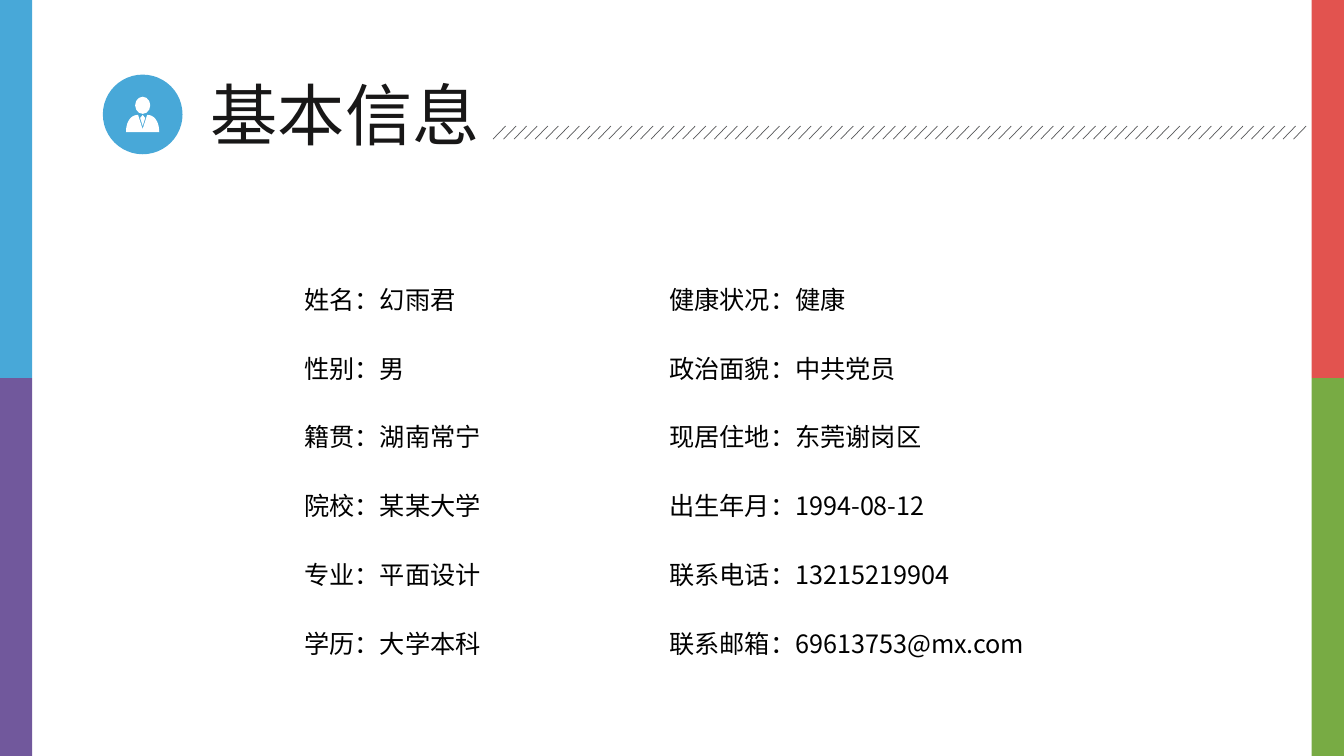
import pptx
import pptx.dml.color
import pptx.enum.shapes
import pptx.enum.text
import pptx.oxml.ns
import pptx.util
from lxml import etree

Inches = pptx.util.Inches
Pt = pptx.util.Pt
MSO_SHAPE = pptx.enum.shapes.MSO_SHAPE
FONT = "Noto Sans CJK SC"
BLUE = "48A8D8"
WHITE = "FFFFFF"


def paint(shape, color):
    """Fill a shape with one flat colour, without outline or shadow."""
    shape.fill.solid()
    shape.fill.fore_color.rgb = pptx.dml.color.RGBColor.from_string(color)
    shape.line.fill.background()
    shape.shadow.inherit = False


def write_line(shape, text, size, color):
    """Put one unwrapped, left-aligned line of text into a shape."""
    frame = shape.text_frame
    frame.text = text
    frame.word_wrap = False
    frame.auto_size = pptx.enum.text.MSO_AUTO_SIZE.SHAPE_TO_FIT_TEXT
    frame.vertical_anchor = pptx.enum.text.MSO_ANCHOR.TOP
    paragraph = frame.paragraphs[0]
    paragraph.alignment = pptx.enum.text.PP_ALIGN.LEFT
    paragraph.font.name = FONT
    paragraph.font.size = Pt(size)
    paragraph.font.color.rgb = pptx.dml.color.RGBColor.from_string(color)
    defaults = paragraph._p.pPr.find(pptx.oxml.ns.qn("a:defRPr"))
    etree.SubElement(defaults, pptx.oxml.ns.qn("a:ea"), typeface=FONT)


presentation = pptx.Presentation()
presentation.slide_width = Inches(13.33)
presentation.slide_height = Inches(7.5)
slide = presentation.slides.add_slide(presentation.slide_layouts[5])
shapes = slide.shapes

# Colour bars along both edges
for left, top, color in [
    (0, 3.75, "71589C"),
    (0, 0, BLUE),
    (13.01, 3.75, "78AB44"),
    (13.01, 0, "E2534F"),
]:
    bar = shapes.add_shape(
        MSO_SHAPE.RECTANGLE, Inches(left), Inches(top), Inches(0.32), Inches(3.75)
    )
    paint(bar, color)

# Title
title = shapes.title
title.left, title.top = Inches(1.99), Inches(0.68)
title.width, title.height = Inches(2.89), Inches(0.91)
write_line(title, "基本信息", 48, "181717")

# Person icon: disc and head, then shoulders and tie
for left, top, width, height, color in [
    (1.02, 0.74, 0.79, 0.79, BLUE),
    (1.34, 0.96, 0.15, 0.17, WHITE),
]:
    oval = shapes.add_shape(
        MSO_SHAPE.OVAL, Inches(left), Inches(top), Inches(width), Inches(height)
    )
    paint(oval, color)

icon_axis = 1.415
shoulder_steps = 12
left_shoulder = []
for step in range(shoulder_steps + 1):
    t = step / shoulder_steps
    weights = [(1 - t) ** 3, 3 * t * (1 - t) ** 2, 3 * t**2 * (1 - t), t**3]
    x = sum(w * c for w, c in zip(weights, [1.37, 1.29, 1.25, 1.25]))
    y = sum(w * c for w, c in zip(weights, [1.14, 1.14, 1.22, 1.31]))
    left_shoulder.append((x, y))
right_shoulder = [(2 * icon_axis - x, y) for x, y in reversed(left_shoulder)]
torso = [(icon_axis, 1.28)] + left_shoulder + right_shoulder
tie = [(1.39, 1.17), (icon_axis, 1.25), (1.44, 1.17), (icon_axis, 1.14)]
for outline in [torso, tie]:
    points = [(Inches(x), Inches(y)) for x, y in outline]
    builder = shapes.build_freeform(*points[0])
    builder.add_line_segments(points[1:], close=True)
    paint(builder.convert_to_shape(), WHITE)

# Personal details in two columns
columns = [
    (2.92, 1.97, [
        "姓名：幻雨君",
        "性别：男",
        "籍贯：湖南常宁",
        "院校：某某大学",
        "专业：平面设计",
        "学历：大学本科",
    ]),
    (6.54, 3.88, [
        "健康状况：健康",
        "政治面貌：中共党员",
        "现居住地：东莞谢岗区",
        "出生年月：1994-08-12",
        "联系电话：13215219904",
        "联系邮箱：69613753@mx.com",
    ]),
]
first_row, last_row = 2.77, 6.18
for left, width, details in columns:
    row_step = (last_row - first_row) / (len(details) - 1)
    for row, detail in enumerate(details):
        box = shapes.add_textbox(
            Inches(left), Inches(first_row + row * row_step), Inches(width), Inches(0.4)
        )
        write_line(box, detail, 18, "000000")

# Row of slanted strokes after the title
stroke_count = 77
first_stroke, last_stroke = 4.89, 12.83
stroke_step = (last_stroke - first_stroke) / (stroke_count - 1)
for index in range(stroke_count):
    x = first_stroke + index * stroke_step
    stroke = shapes.add_connector(
        pptx.enum.shapes.MSO_CONNECTOR.STRAIGHT,
        Inches(x), Inches(1.38), Inches(x + 0.125), Inches(1.25),
    )
    stroke.line.color.rgb = pptx.dml.color.RGBColor.from_string("58595B")
    stroke.line.width = Pt(0.5)
    etree.SubElement(stroke._element.spPr, pptx.oxml.ns.qn("a:effectLst"))

presentation.save("out.pptx")
